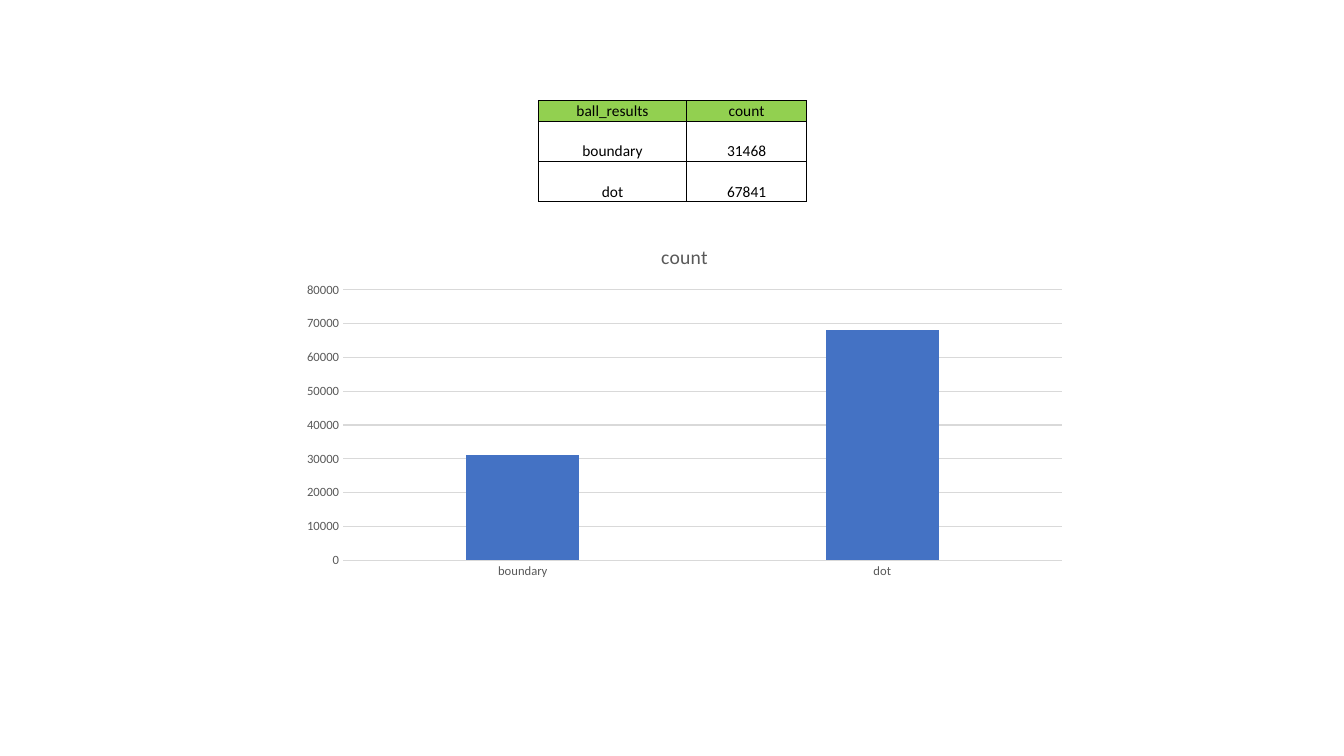
from dataclasses import dataclass

from lxml import etree
from pptx import Presentation
from pptx.chart.data import CategoryChartData
from pptx.dml.color import RGBColor
from pptx.enum.chart import XL_CHART_TYPE, XL_TICK_MARK
from pptx.enum.text import MSO_ANCHOR, PP_ALIGN
from pptx.oxml.ns import qn
from pptx.util import Inches, Pt

COLUMNS = XL_CHART_TYPE.COLUMN_CLUSTERED
NO_TICK = XL_TICK_MARK.NONE
BOTTOM = MSO_ANCHOR.BOTTOM
CENTER = PP_ALIGN.CENTER

SLIDE_WIDTH, SLIDE_HEIGHT = Inches(13.33), Inches(7.5)


@dataclass(frozen=True)
class Theme:
    font: str = "Calibri"
    ink: str = "000000"
    label: str = "595959"
    rule: str = "D9D9D9"
    header: str = "92D050"
    bar: str = "4472C4"
    table_size: float = 11
    title_size: float = 14
    chart_size: float = 10
    axis_size: float = 9
    border: float = 0.5
    grid_line: float = 0.75


@dataclass(frozen=True)
class Box:
    """Percentages of the slide's width and height."""
    left: float
    top: float
    width: float
    height: float

    def place(self) -> tuple[int, int, int, int]:
        return (across(self.left), down(self.top),
                across(self.width), down(self.height))


@dataclass(frozen=True)
class BallResult:
    name: str
    count: int


THEME = Theme()
HEADINGS = ("ball_results", "count")
RESULTS = (BallResult("boundary", 31468), BallResult("dot", 67841))

TABLE_BOX = Box(40.06, 13.33, 19.96, 13.33)
COLUMN_SHARES = (11.03, 8.93)
HEADER_SHARE, RESULT_SHARE = 2.67, 5.33
CHART_BOX = Box(21.68, 30, 58.51, 47.53)


def across(percent: float) -> int:
    return round(SLIDE_WIDTH * percent / 100)


def down(percent: float) -> int:
    return round(SLIDE_HEIGHT * percent / 100)


def style_font(font, size: float, color: str) -> None:
    font.name = THEME.font
    font.size = Pt(size)
    font.bold = False
    font.color.rgb = RGBColor.from_string(color)


def style_line(line, color: str) -> None:
    line.width = Pt(THEME.grid_line)
    line.color.rgb = RGBColor.from_string(color)


def add_borders(cell) -> None:
    properties = cell._tc.get_or_add_tcPr()
    for position, side in enumerate(("a:lnL", "a:lnR", "a:lnT", "a:lnB")):
        border = etree.Element(qn(side), w=str(Pt(THEME.border)))
        fill = etree.SubElement(border, qn("a:solidFill"))
        etree.SubElement(fill, qn("a:srgbClr"), val=THEME.ink)
        properties.insert(position, border)


def fill_cell(cell, text: str, is_header: bool) -> None:
    cell.margin_left = cell.margin_right = cell.margin_top = Inches(0.01)
    cell.margin_bottom = 0
    cell.vertical_anchor = BOTTOM
    cell.text = text
    paragraph = cell.text_frame.paragraphs[0]
    paragraph.alignment = CENTER
    style_font(paragraph.font, THEME.table_size, THEME.ink)
    if is_header:
        cell.fill.solid()
        cell.fill.fore_color.rgb = RGBColor.from_string(THEME.header)
    else:
        cell.fill.background()
    add_borders(cell)


def add_results_table(slide) -> None:
    rows = [HEADINGS] + [(result.name, str(result.count)) for result in RESULTS]
    table = slide.shapes.add_table(
        len(rows), len(HEADINGS), *TABLE_BOX.place()).table
    table.first_row = table.horz_banding = False
    for column, share in zip(table.columns, COLUMN_SHARES):
        column.width = across(share)
    for row_index, row in enumerate(rows):
        is_header = row_index == 0
        table.rows[row_index].height = down(
            HEADER_SHARE if is_header else RESULT_SHARE)
        for column_index, text in enumerate(row):
            fill_cell(table.cell(row_index, column_index), text, is_header)


def add_count_chart(slide) -> None:
    # Counts to the nearest thousand
    data = CategoryChartData()
    data.categories = [result.name for result in RESULTS]
    data.add_series(HEADINGS[1], [round(result.count, -3) for result in RESULTS])
    chart = slide.shapes.add_chart(COLUMNS, *CHART_BOX.place(), data).chart
    style_font(chart.font, THEME.chart_size, THEME.ink)
    chart.has_legend = False

    # Title
    chart.has_title = True
    chart.chart_title.include_in_layout = False
    heading = chart.chart_title.text_frame
    heading.text = HEADINGS[1]
    style_font(heading.paragraphs[0].font, THEME.title_size, THEME.label)

    # Bars
    plot = chart.plots[0]
    plot.gap_width, plot.overlap, plot.vary_by_categories = 219, -27, False
    bar_fill = plot.series[0].format.fill
    bar_fill.solid()
    bar_fill.fore_color.rgb = RGBColor.from_string(THEME.bar)

    # Axes
    result_axis, count_axis = chart.category_axis, chart.value_axis
    for axis in (result_axis, count_axis):
        axis.major_tick_mark = axis.minor_tick_mark = NO_TICK
        style_font(axis.tick_labels.font, THEME.axis_size, THEME.label)
    style_line(result_axis.format.line, THEME.rule)
    count_axis.format.line.fill.background()
    count_axis.minimum_scale, count_axis.maximum_scale = 0, 80000
    count_axis.major_unit = 10000
    style_line(count_axis.major_gridlines.format.line, THEME.rule)


def main() -> None:
    presentation = Presentation()
    presentation.slide_width = SLIDE_WIDTH
    presentation.slide_height = SLIDE_HEIGHT
    slide = presentation.slides.add_slide(presentation.slide_layouts[6])
    add_results_table(slide)
    add_count_chart(slide)
    presentation.save("out.pptx")


if __name__ == "__main__":
    main()
